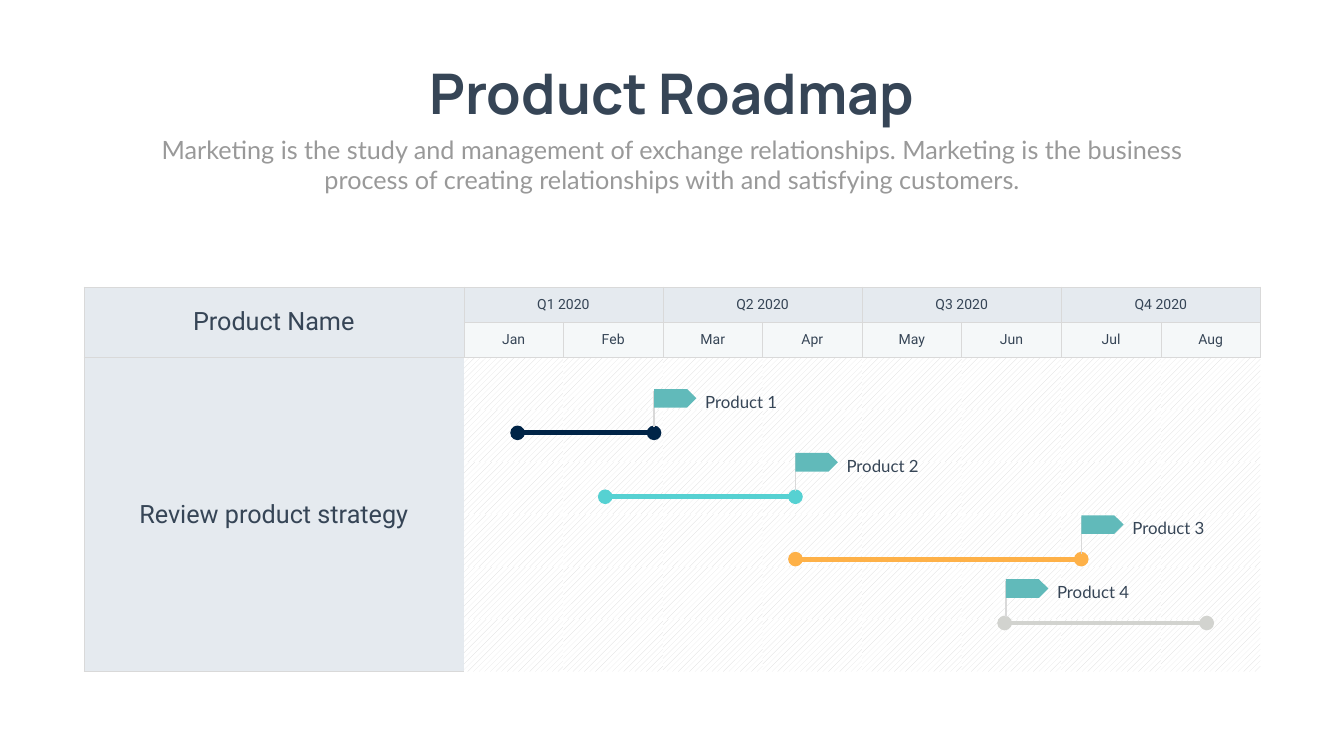
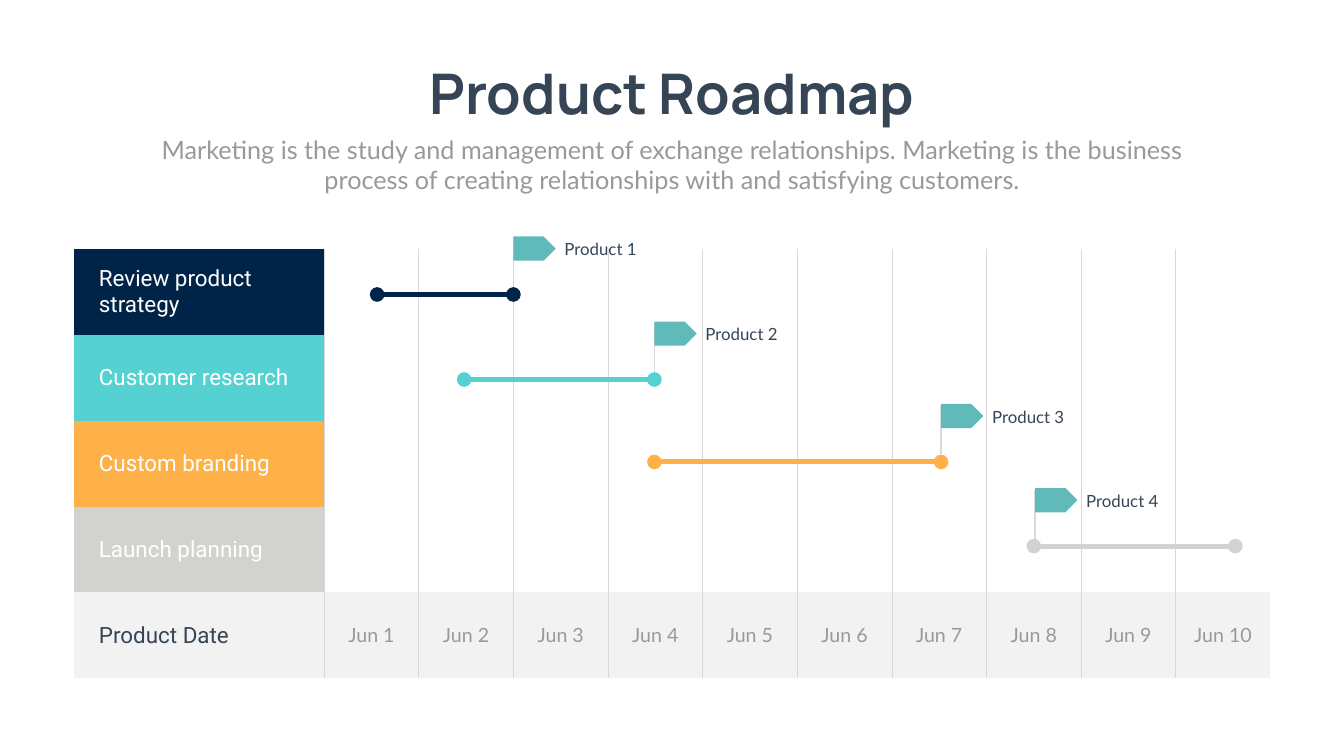
import pptx
import pptx.util
import pptx.dml.color
import pptx.enum.dml
import pptx.enum.shapes
import pptx.enum.text
import pptx.oxml
import pptx.oxml.ns

INK = {"ink": "364556", "gray": "999999", "rule": "D9D9D9", "head": "E5EAEF",
       "month": "F5F8F9", "foot": "F2F2F2", "white": "FFFFFF", "navy": "002447",
       "aqua": "56D1D2", "gold": "FEB148", "stone": "D2D3CF", "flag": "61BABA"}
TONES = ["navy", "aqua", "gold", "stone"]
BLURB = ("Marketing is the study and management of exchange relationships. "
         "Marketing is the business process of creating relationships with "
         "and satisfying customers.")
NO_STYLE = "{2D5ABB26-0587-4C30-8999-92F81FD0307C}"
ALIGN = pptx.enum.text.PP_ALIGN
FLAG_W, LABEL_X, LABEL_W = 3.15, 3.43, 6.23
NS = pptx.oxml.ns.nsdecls("a")


def color(name):
    return pptx.dml.color.RGBColor.from_string(INK[name])


class Deck:
    """Lengths are hundredths of the slide's width (x) and height (y)."""

    def __init__(self):
        self.prs = pptx.Presentation()
        self.prs.slide_width = pptx.util.Inches(26.66)
        self.prs.slide_height = pptx.util.Inches(15)
        self.slide = None

    def x(self, share):
        return round(self.prs.slide_width * share / 100)

    def y(self, share):
        return round(self.prs.slide_height * share / 100)

    def box(self, left, top, width, height):
        return self.x(left), self.y(top), self.x(width), self.y(height)

    def page(self):
        self.slide = self.prs.slides.add_slide(self.prs.slide_layouts[6])
        self.text("Product Roadmap", (30, 7.47, 40, 9.67), 80, "Manrope",
                  bold=True, center=True)
        self.text(BLURB, (10.95, 17.4, 78.1, 8.73), 36, "Lato", "gray",
                  center=True, wrap=True)

    def words(self, frame, text, size, face, tone="ink", bold=False, center=False):
        para = frame.paragraphs[0]
        para.alignment = ALIGN.CENTER if center else ALIGN.LEFT
        run = para.add_run()
        run.text = text
        run.font.size = pptx.util.Pt(size)
        run.font.name = face
        run.font.bold = bold
        run.font.color.rgb = color(tone)

    def text(self, text, area, size, face, tone="ink", bold=False,
             center=False, wrap=False):
        frame = self.slide.shapes.add_textbox(*self.box(*area)).text_frame
        frame.word_wrap = wrap
        frame.auto_size = pptx.enum.text.MSO_AUTO_SIZE.SHAPE_TO_FIT_TEXT
        self.words(frame, text, size, face, tone, bold, center)

    def line(self, x1, y1, x2, y2, tone, width, dots=False):
        link = self.slide.shapes.add_connector(
            pptx.enum.shapes.MSO_CONNECTOR.STRAIGHT,
            self.x(x1), self.y(y1), self.x(x2), self.y(y2))
        link.line.color.rgb = color(tone)
        link.line.width = pptx.util.Pt(width)
        props = link._element.spPr
        if dots:
            stroke = props.find(pptx.oxml.ns.qn("a:ln"))
            for end in ("headEnd", "tailEnd"):
                stroke.append(pptx.oxml.parse_xml(f'<a:{end} {NS} type="oval"/>'))
        props.append(pptx.oxml.parse_xml(f"<a:effectLst {NS}/>"))

    def table(self, left, top, cols, rows):
        area = self.box(left, top, sum(cols), sum(rows))
        grid = self.slide.shapes.add_table(len(rows), len(cols), *area).table
        grid.first_row = grid.horz_banding = False
        props = grid._tbl.tblPr
        props.find(pptx.oxml.ns.qn("a:tableStyleId")).text = NO_STYLE
        for col, width in zip(grid.columns, cols):
            col.width = self.x(width)
        for row, height in zip(grid.rows, rows):
            row.height = self.y(height)
        return grid

    def cell(self, cell, fill=None, edges="", width=0.75, pad=None):
        """Edges is any of L, R, T, B; no fill name means the hatch."""
        cell.vertical_anchor = pptx.enum.text.MSO_ANCHOR.MIDDLE
        if pad is not None:
            cell.margin_left, cell.margin_right = map(pptx.util.Inches, pad)
        props = cell._tc.get_or_add_tcPr()
        for side in "LRTB":
            if side in edges:
                props.append(pptx.oxml.parse_xml(
                    f'<a:ln{side} {NS} w="{int(pptx.util.Pt(width))}">'
                    f'<a:solidFill><a:srgbClr val="{INK["rule"]}"/>'
                    f'</a:solidFill></a:ln{side}>'))
        if fill:
            cell.fill.solid()
            cell.fill.fore_color.rgb = color(fill)
        else:
            cell.fill.patterned()
            cell.fill.pattern = pptx.enum.dml.MSO_PATTERN.PERCENT_10
            cell.fill.fore_color.rgb = color("rule")
            cell.fill.back_color.rgb = color("white")

    def flag(self, x, y, text, tall, pole, label):
        self.text(text, (x + LABEL_X, y, LABEL_W, label), 24, "Lato")
        self.line(x, y + 0.2 + pole, x, y + 0.2, "rule", 2)
        plate = self.slide.shapes.add_shape(
            pptx.enum.shapes.MSO_SHAPE.PENTAGON, *self.box(x, y, FLAG_W, tall))
        plate.shadow.inherit = False
        plate.fill.solid()
        plate.fill.fore_color.rgb = color("flag")
        plate.line.fill.background()

    def plan(self, origin, pitch, bars, lift, tall, pole, label):
        """Bars are (start, end, row) in table columns and rows."""
        spans = [(origin[0] + a * pitch[0], origin[0] + b * pitch[0],
                  origin[1] + row * pitch[1]) for a, b, row in bars]
        for (start, end, y), tone in zip(spans, TONES):
            self.line(start, y, end, y, tone, 7, dots=True)
        for num, (start, end, y) in enumerate(spans, 1):
            # The last flag marks a start, the others an end
            spot = start + 0.1 if num == len(spans) else end
            self.flag(spot, y - lift, f"Product {num}", tall, pole, label)


def quarters(deck):
    deck.page()
    left, top, name, month, task = 6.23, 37.93, 28.28, 7.41, 6.93
    heads = [4.67, 4.33]
    grid = deck.table(left, top, [name] + [month] * 8, heads + [task] * 6)

    # Left column
    for row in range(8):
        deck.cell(grid.cell(row, 0), "head", "LRTB" if row < 2 else "LTB",
                  pad=None if row < 2 else (0, 0))
    grid.cell(0, 0).merge(grid.cell(1, 0))
    grid.cell(2, 0).merge(grid.cell(7, 0))
    for row, text in ((0, "Product Name"), (2, "Review product strategy")):
        deck.words(grid.cell(row, 0).text_frame, text, 36, "Roboto", center=True)

    # Quarters, months and hatched field
    for col, text in enumerate("Jan Feb Mar Apr May Jun Jul Aug".split(), 1):
        deck.cell(grid.cell(0, col), "head", "LRTB", pad=(0, 0))
        deck.cell(grid.cell(1, col), "month", "LRT", pad=(0, 0))
        deck.words(grid.cell(1, col).text_frame, text, 20, "Roboto", center=True)
        for row in range(2, 8):
            deck.cell(grid.cell(row, col))
    for num in range(1, 5):
        cell = grid.cell(0, 2 * num - 1)
        cell.merge(grid.cell(0, 2 * num))
        deck.words(cell.text_frame, f"Q{num} 2020", 20, "Roboto", center=True)

    # Bars and flags
    bars = [(0.54, 1.91, 1.49), (1.42, 3.33, 2.71),
            (3.33, 6.2, 3.9), (5.43, 7.46, 5.12)]
    deck.plan((left + name, top + sum(heads)), (month, task), bars,
              lift=5.8, tall=2.47, pole=4.87, label=2.53)


def days(deck):
    deck.page()
    left, top, name, day, task = 5.48, 32.93, 18.64, 7.04, 11.36
    grid = deck.table(left, top, [name] + [day] * 10, [task] * 5)

    # Task names and day columns
    tasks = ["Review product strategy", "Customer research", "Custom branding",
             "Launch planning", "Product Date"]
    for row, (text, tone) in enumerate(zip(tasks, TONES + ["foot"])):
        last = tone == "foot"
        deck.cell(grid.cell(row, 0), tone, "R", 1, pad=(0.5, 0.1))
        deck.words(grid.cell(row, 0).text_frame, text, 32, "Roboto",
                   "ink" if last else "white")
        for col in range(1, 11):
            cell = grid.cell(row, col)
            deck.cell(cell, "foot" if last else "white",
                      "LR" if col < 10 else "L", 1)
            if last:
                deck.words(cell.text_frame, f"Jun {col}", 28, "Lato", "gray",
                           center=True)

    # Bars and flags
    bars = [(0.56, 2, 0.53), (1.48, 3.49, 1.52),
            (3.49, 6.52, 2.48), (7.5, 9.63, 3.46)]
    deck.plan((left + name, top), (day, task), bars,
              lift=7.67, tall=3.2, pole=6.47, label=3.33)


def main():
    deck = Deck()
    quarters(deck)
    days(deck)
    deck.prs.save("out.pptx")


if __name__ == "__main__":
    main()
